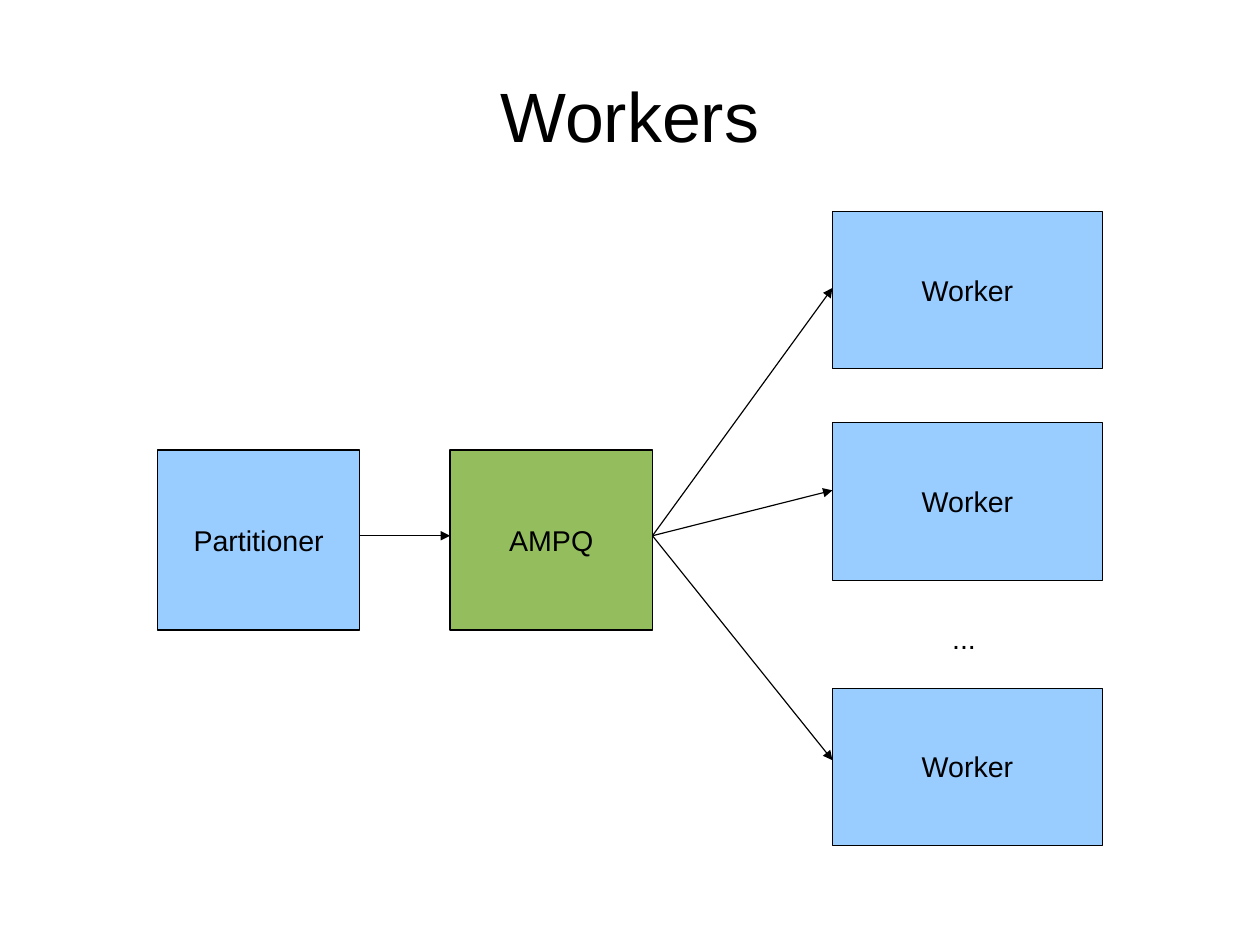
from dataclasses import dataclass

import pptx
import pptx.dml.color
import pptx.enum.shapes
import pptx.enum.text
import pptx.oxml
import pptx.oxml.ns
import pptx.util

Pt = pptx.util.Pt
RGB = pptx.dml.color.RGBColor
ALIGN = pptx.enum.text.PP_ALIGN
ANCHOR = pptx.enum.text.MSO_ANCHOR


@dataclass(frozen=True)
class Theme:
    font: str = "Arial"
    ink: str = "000000"
    node: str = "99CCFF"
    queue: str = "94BD5E"
    title_size: float = 44
    label_size: float = 18
    line_width: float = 0.75
    line_spacing: float = 0.93


THEME = Theme()
LABEL_INSETS = (7.1, 5.3, 7.1, 3.5)


def write_text(sp, text, size, align, anchor, insets, wrap=False):
    tf = sp.text_frame
    tf.word_wrap = wrap
    tf.vertical_anchor = anchor
    tf.margin_left, tf.margin_top, tf.margin_right, tf.margin_bottom = map(Pt, insets)
    p = tf.paragraphs[0]
    p.alignment = align
    p.line_spacing = THEME.line_spacing
    r = p.add_run()
    r.text = text
    r.font.name = THEME.font
    r.font.size = Pt(size)
    r.font.color.rgb = RGB.from_string(THEME.ink)


def style_line(line):
    line.color.rgb = RGB.from_string(THEME.ink)
    line.width = Pt(THEME.line_width)


def add_node(slide, box, label, fill):
    sp = slide.shapes.add_shape(
        pptx.enum.shapes.MSO_SHAPE.RECTANGLE, *map(Pt, box))
    sp.shadow.inherit = False
    sp.fill.solid()
    sp.fill.fore_color.rgb = RGB.from_string(fill)
    style_line(sp.line)
    write_text(sp, label, THEME.label_size, ALIGN.CENTER, ANCHOR.MIDDLE, LABEL_INSETS)


def add_arrow(slide, start, end):
    cxn = slide.shapes.add_connector(
        pptx.enum.shapes.MSO_CONNECTOR.STRAIGHT, *map(Pt, (*start, *end)))
    style_line(cxn.line)
    ln = cxn.line._get_or_add_ln()
    ln.append(pptx.oxml.parse_xml(
        f'<a:tailEnd {pptx.oxml.ns.nsdecls("a")} type="triangle"/>'))
    cxn._element.spPr.append(pptx.oxml.parse_xml(
        f'<a:effectLst {pptx.oxml.ns.nsdecls("a")}/>'))


def add_title(slide, box, text):
    sp = slide.shapes.add_textbox(*map(Pt, box))
    write_text(sp, text, THEME.title_size, ALIGN.CENTER, ANCHOR.MIDDLE,
               (0, 2.8, 0, 0), wrap=True)


def add_pipeline(slide, box):
    """Place partitioner and queue side by side; return the queue's exit point."""
    left, top, width, height = box
    node_w = 127.5
    queue_left = left + width - node_w
    arrow_y = top + 54
    add_node(slide, (queue_left, top, node_w, height), "AMPQ", THEME.queue)
    add_node(slide, (left, top, node_w, height), "Partitioner", THEME.node)
    add_arrow(slide, (left + node_w, arrow_y), (queue_left, arrow_y))
    return left + width, arrow_y


def add_workers(slide, box, source):
    """Stack the workers in the box and fan arrows out to them from source."""
    left, top, width, height = box
    node_h = 99.2
    # Each worker: top offset in the box, then arrow entry below its top edge.
    workers = ((0, 48.2), (133.2, 42.5), (height - node_h, 45.4))
    for offset, entry in workers:
        add_node(slide, (left, top + offset, width, node_h), "Worker", THEME.node)
        add_arrow(slide, source, (left, top + offset + entry))
    dots = slide.shapes.add_textbox(*map(Pt, (left + 68.3, top + 254.9, 29.5, 27.4)))
    write_text(dots, "...", THEME.label_size, ALIGN.LEFT, ANCHOR.TOP, LABEL_INSETS)


def main():
    prs = pptx.Presentation()
    prs.slide_width, prs.slide_height = Pt(793.7), Pt(595.3)
    slide = prs.slides.add_slide(prs.slide_layouts[6])
    add_title(slide, (39.6, 27.4, 714.3, 92.2), "Workers")
    queue_exit = add_pipeline(slide, (99.2, 283.5, 311.8, 113.4))
    add_workers(slide, (524.4, 133.2, 170.1, 399.5), queue_exit)
    prs.save("out.pptx")


if __name__ == "__main__":
    main()
